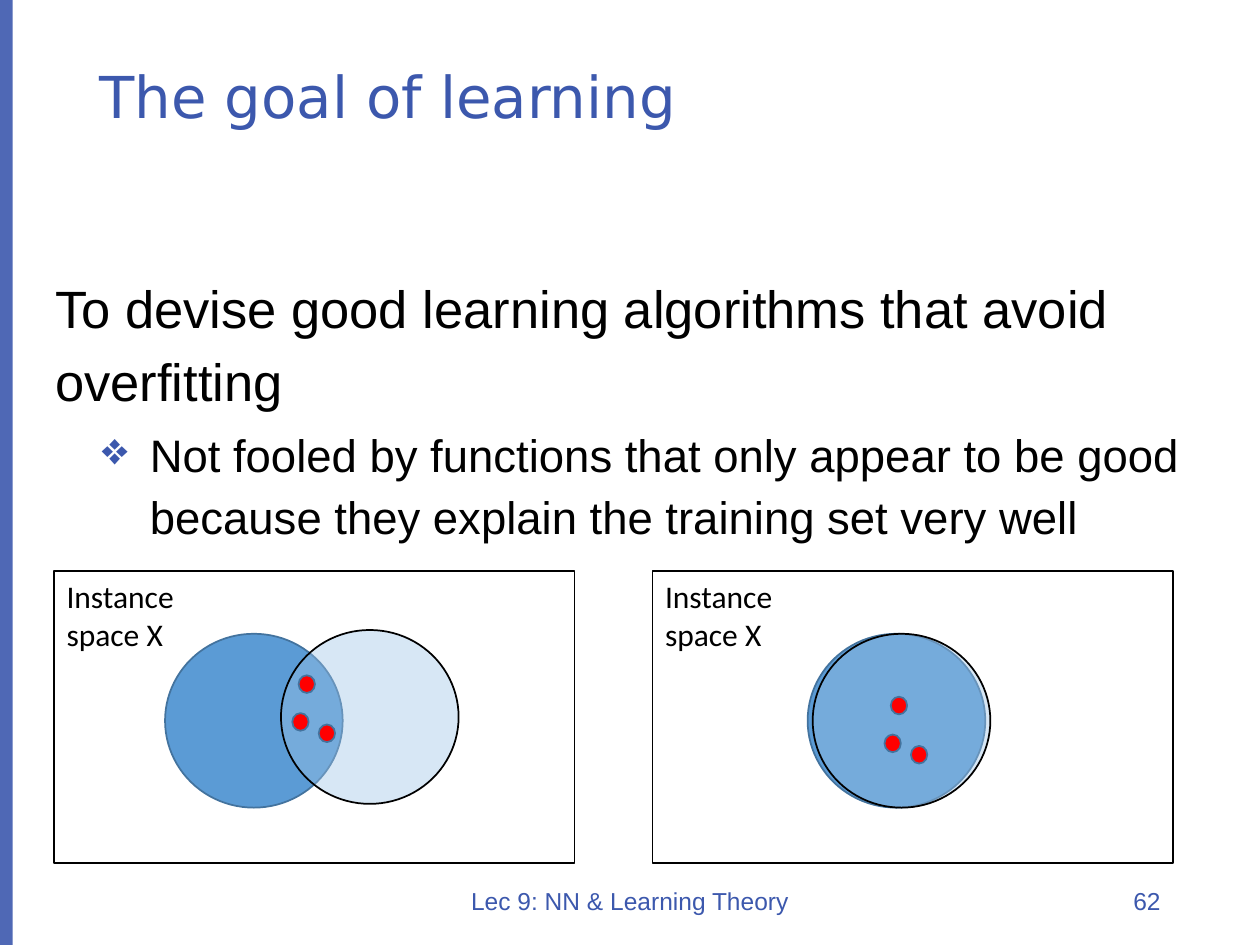
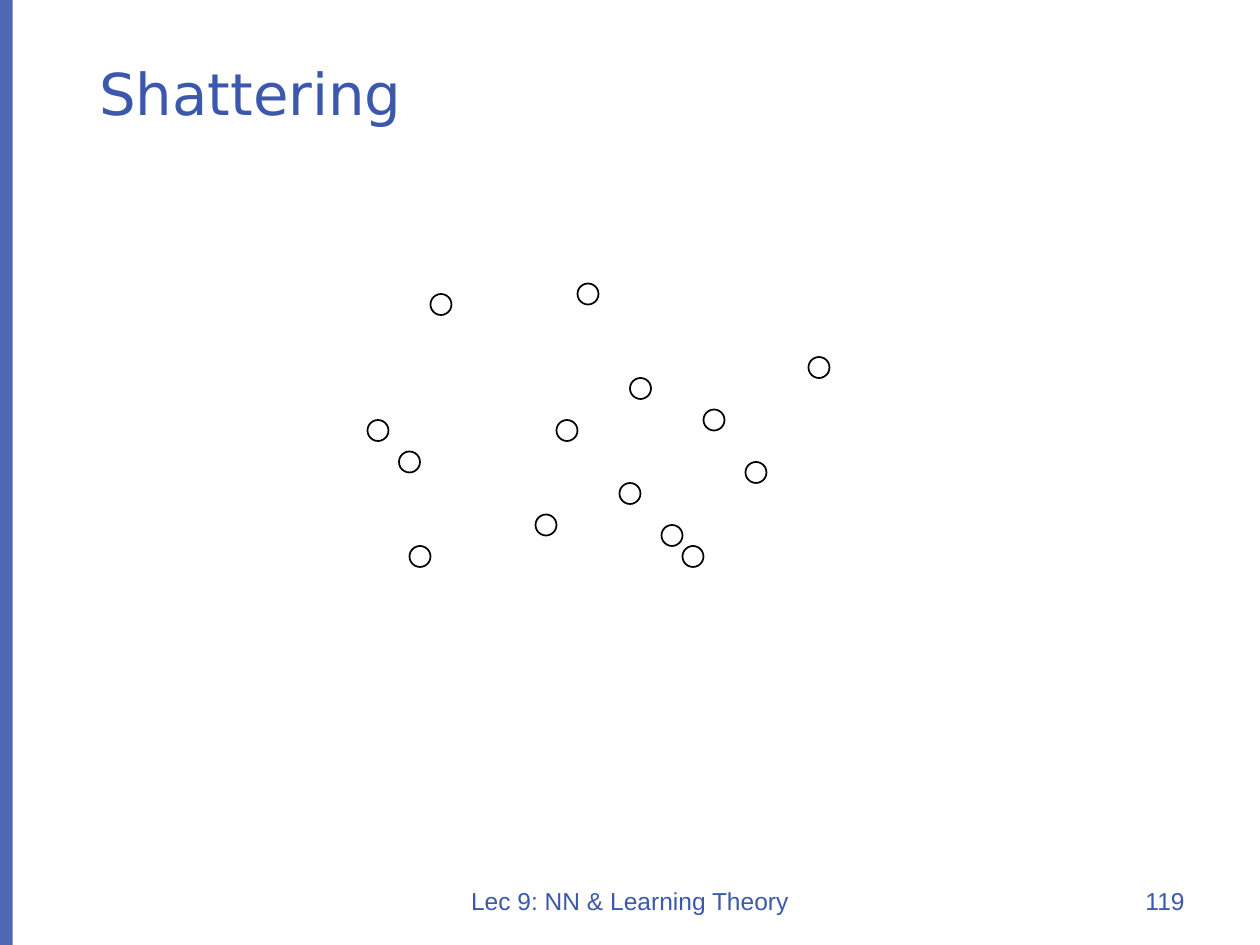
from lxml import etree
from pptx import Presentation
from pptx.dml.color import RGBColor
from pptx.enum.shapes import MSO_SHAPE
from pptx.enum.text import MSO_ANCHOR, PP_ALIGN
from pptx.oxml.ns import qn
from pptx.util import Inches, Pt

RECT, OVAL = MSO_SHAPE.RECTANGLE, MSO_SHAPE.OVAL
LEFT, CENTER, RIGHT = PP_ALIGN.LEFT, PP_ALIGN.CENTER, PP_ALIGN.RIGHT
TOP, MIDDLE = MSO_ANCHOR.TOP, MSO_ANCHOR.MIDDLE

ACCENT = RGBColor(0x3C, 0x58, 0xAD)
BLACK = RGBColor(0, 0, 0)
WHITE = RGBColor(0xFF, 0xFF, 0xFF)
TARGET_BLUE = RGBColor(0x5B, 0x9B, 0xD5)
OUTLINE_BLUE = RGBColor(0x43, 0x73, 0x9E)
PALE_BLUE = RGBColor(0x9D, 0xC3, 0xE6)
RED = RGBColor(0xFF, 0, 0)

TITLE_FONT, BODY_FONT, LABEL_FONT = "DejaVu Sans", "Arial", "Calibri"
FOOTER = "Lec 9: NN & Learning Theory"
FOOTER_TOP, FOOTER_HEIGHT = 6.95, 0.4

SAMPLE_OFFSETS = [(0.05, 0), (0.21, 0.39), (0, 0.3)]
POINT_GRID = 1 / 12
GRID_POINTS = [(39, 52), (41, 28), (77, 34), (38, 43), (35, 40), (60, 36), (51, 49),
               (53, 40), (55, 27), (71, 44), (59, 46), (67, 39), (63, 50), (65, 52)]


def add_figure(slide, kind, box, fill, line=None, opacity=None):
    """Add a filled preset shape, optionally outlined and translucent."""
    sp = slide.shapes.add_shape(kind, *map(Inches, box))
    sp.shadow.inherit = False
    sp.fill.solid()
    sp.fill.fore_color.rgb = fill
    if opacity is not None:
        color = sp.fill._xPr.find(qn("a:solidFill"))[0]
        etree.SubElement(color, qn("a:alpha")).set("val", str(opacity * 1000))
    if line is None:
        sp.line.fill.background()
    else:
        sp.line.color.rgb = line
        sp.line.width = Pt(1)


def style(p, font, size, color, align=LEFT, spacing=None):
    """Format a paragraph and its runs."""
    p.alignment = align
    p.line_spacing = spacing
    for r in p.runs:
        r.font.name, r.font.size = font, Pt(size)
        r.font.color.rgb = color


def add_text(slide, box, text, font, size, color, align=LEFT, anchor=TOP, spacing=None):
    """Add a wrapping text box and return its text frame."""
    tf = slide.shapes.add_textbox(*map(Inches, box)).text_frame
    tf.word_wrap = True
    tf.vertical_anchor = anchor
    tf.text = text
    style(tf.paragraphs[0], font, size, color, align, spacing)
    return tf


def add_bullet(p, char, color):
    """Give a paragraph a coloured bullet and a hanging indent."""
    pPr = p._p.get_or_add_pPr()
    pPr.set("marL", str(Inches(0.75)))
    pPr.set("indent", str(Inches(-0.38)))
    bu_color = etree.SubElement(pPr, qn("a:buClr"))
    etree.SubElement(bu_color, qn("a:srgbClr")).set("val", str(color))
    etree.SubElement(pPr, qn("a:buChar")).set("char", char)


def add_base(prs, title, title_top, number, number_right):
    """Add a slide with the side band, title, footer and slide number."""
    slide = prs.slides.add_slide(prs.slide_layouts[6])
    add_figure(slide, RECT, (0, 0, 0.1, 7.5), ACCENT, opacity=90)
    add_text(slide, (0.69, title_top, 8.62, 0.74), title, TITLE_FONT, 33, ACCENT,
             anchor=MIDDLE, spacing=0.9)
    add_text(slide, (3.31, FOOTER_TOP, 3.38, FOOTER_HEIGHT), FOOTER, BODY_FONT, 14,
             ACCENT, CENTER, MIDDLE)
    add_text(slide, (number_right - 2.25, FOOTER_TOP, 2.25, FOOTER_HEIGHT), number,
             BODY_FONT, 14, ACCENT, RIGHT, MIDDLE)
    return slide


def add_instance_space(slide, x, y, target, hypothesis, samples):
    """Draw one instance space with two circles and its training samples."""
    add_figure(slide, RECT, (x, y, 4.13, 2.32), WHITE, BLACK)
    add_text(slide, (x, y, 1.17, 0.7), "Instance space X", LABEL_FONT, 18, BLACK)
    for (dx, dy), fill, line, opacity in ((target, TARGET_BLUE, OUTLINE_BLUE, None),
                                          (hypothesis, PALE_BLUE, BLACK, 40)):
        add_figure(slide, OVAL, (x + dx, y + dy, 1.41, 1.38), fill, line, opacity)
    for dx, dy in SAMPLE_OFFSETS:
        add_figure(slide, OVAL, (x + samples[0] + dx, y + samples[1] + dy, 0.13, 0.14),
                   RED, OUTLINE_BLUE)


def add_goal_slide(prs):
    """Build the slide on the goal of learning."""
    slide = add_base(prs, "The goal of learning", 0.42, "62", 9.31)
    tf = add_text(slide, (0.34, 2.07, 9.35, 2.3),
                  "To devise good learning algorithms that avoid overfitting",
                  BODY_FONT, 30, BLACK, spacing=1.15)
    p = tf.add_paragraph()
    p.text = ("Not fooled by functions that only appear to be good "
              "because they explain the training set very well")
    add_bullet(p, "❖", ACCENT)
    style(p, BODY_FONT, 26, BLACK, spacing=1.15)
    p.space_before = Pt(3.8)
    add_instance_space(slide, 0.43, 4.53, (0.88, 0.5), (1.8, 0.47), (1.89, 0.83))
    add_instance_space(slide, 5.18, 4.53, (1.23, 0.5), (1.27, 0.5), (1.84, 1))


def add_shattering_slide(prs):
    """Build the slide of scattered points."""
    slide = add_base(prs, "Shattering", 0.4, "119", 9.5)
    size = 2 * POINT_GRID
    for col, row in GRID_POINTS:
        add_figure(slide, OVAL, (col * POINT_GRID, row * POINT_GRID, size, size),
                   WHITE, BLACK)


def main():
    """Build and save the presentation."""
    prs = Presentation()
    prs.slide_width, prs.slide_height = Inches(10), Inches(7.5)
    add_goal_slide(prs)
    add_shattering_slide(prs)
    prs.save("out.pptx")


if __name__ == "__main__":
    main()
